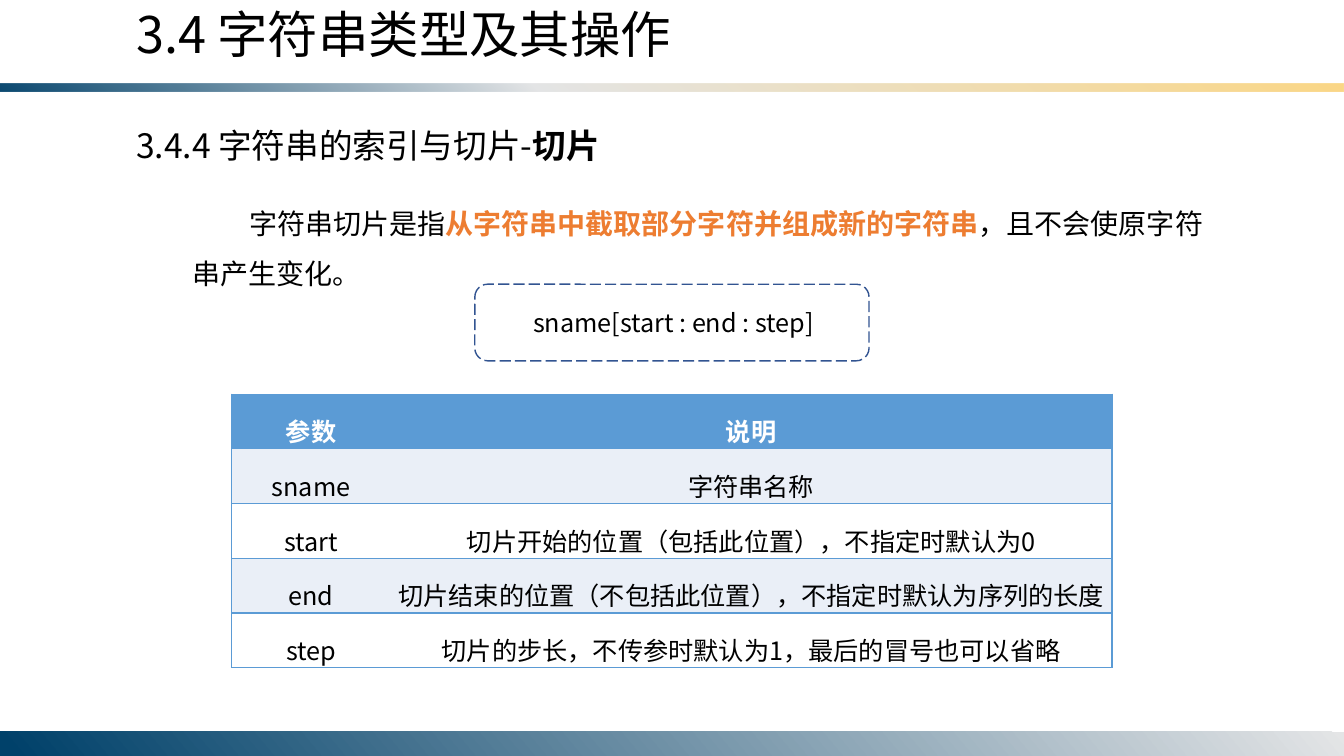
from dataclasses import dataclass

from lxml.etree import SubElement
from pptx import Presentation
from pptx.dml.color import RGBColor
from pptx.enum.dml import MSO_LINE
from pptx.enum.shapes import MSO_SHAPE
from pptx.enum.text import MSO_ANCHOR, MSO_AUTO_SIZE, PP_ALIGN
from pptx.oxml import parse_xml
from pptx.oxml.ns import nsdecls, qn
from pptx.util import Inches, Pt

SLIDE_W, SLIDE_H = Inches(13.33), Inches(7.5)


@dataclass(frozen=True)
class Theme:
    font: str = "Noto Sans CJK SC"
    text: str = "000000"
    accent: str = "ED7D31"
    navy: str = "00416A"
    silver: str = "E4E5E6"
    gold: str = "FBD786"
    frame: str = "325491"
    table: str = "5B9BD5"
    stripe: str = "EAEFF7"
    white: str = "FFFFFF"
    title_size: int = 36
    heading_size: int = 24
    body_size: int = 20
    small_size: int = 18


THEME = Theme()


@dataclass(frozen=True)
class Box:
    """A region in percent of the slide's width and height."""
    left: float
    top: float
    width: float
    height: float

    def emu(self):
        return (int(SLIDE_W * self.left / 100), int(SLIDE_H * self.top / 100),
                int(SLIDE_W * self.width / 100), int(SLIDE_H * self.height / 100))


def add_run(paragraph, text, size, color=THEME.text, bold=False):
    run = paragraph.add_run()
    run.text = text
    run.font.size = Pt(size)
    run.font.bold = bold
    run.font.color.rgb = RGBColor.from_string(color)
    run.font.name = THEME.font
    SubElement(run.font._element, qn("a:ea")).set("typeface", THEME.font)


def fill_placeholder(placeholder, box, parts, size, spacing, indent=0.0):
    """Move a placeholder and write (text, colour, bold) parts without a bullet."""
    placeholder.left, placeholder.top, placeholder.width, placeholder.height = box.emu()
    frame = placeholder.text_frame
    frame.word_wrap = True
    frame.auto_size = MSO_AUTO_SIZE.NONE
    frame.vertical_anchor = MSO_ANCHOR.TOP
    paragraph = frame.paragraphs[0]
    properties = paragraph._p.get_or_add_pPr()
    properties.set("marL", "0")
    properties.set("indent", str(Inches(indent)))
    SubElement(properties, qn("a:buNone"))
    paragraph.alignment = PP_ALIGN.LEFT
    paragraph.line_spacing = spacing
    paragraph.space_before = Pt(0)
    for text, color, bold in parts:
        add_run(paragraph, text, size, color, bold)


def add_band(slide, box, stops, angle, flipped=False):
    """Draw a strip with gradient stops of (percent, colour, opacity percent)."""
    band = slide.shapes.add_shape(MSO_SHAPE.RECTANGLE, *box.emu())
    band.shadow.inherit = False
    band.line.fill.background()
    colors = "".join(
        f'<a:gs pos="{place * 1000}"><a:srgbClr val="{color}">'
        f'<a:alpha val="{opacity * 1000}"/></a:srgbClr></a:gs>'
        for place, color, opacity in stops)
    gradient = parse_xml(
        f'<a:gradFill {nsdecls("a")} rotWithShape="1"><a:gsLst>{colors}</a:gsLst>'
        f'<a:lin ang="{angle * 60000}" scaled="0"/></a:gradFill>')
    properties = band._element.spPr
    properties.find(qn("a:prstGeom")).addnext(gradient)
    if flipped:
        properties.find(qn("a:xfrm")).set("flipV", "1")


def add_syntax(slide, box, syntax):
    frame = slide.shapes.add_shape(MSO_SHAPE.ROUNDED_RECTANGLE, *box.emu())
    frame.shadow.inherit = False
    frame.fill.background()
    frame.line.color.rgb = RGBColor.from_string(THEME.frame)
    frame.line.width = Pt(1)
    frame.line.dash_style = MSO_LINE.LONG_DASH
    text_frame = frame.text_frame
    text_frame.word_wrap = True
    text_frame.margin_left = Inches(0.54)
    text_frame.vertical_anchor = MSO_ANCHOR.MIDDLE
    paragraph = text_frame.paragraphs[0]
    paragraph.alignment = PP_ALIGN.LEFT
    add_run(paragraph, syntax, THEME.small_size)


def set_borders(cell, visible):
    """Line the visible sides of a cell and clear the others."""
    properties = cell._tc.get_or_add_tcPr()
    for position, side in enumerate("LRTB"):
        paint = (f'<a:solidFill><a:srgbClr val="{THEME.table}"/></a:solidFill>'
                 if side in visible else "<a:noFill/>")
        properties.insert(position, parse_xml(
            f'<a:ln{side} {nsdecls("a")} w="{Pt(1)}">{paint}</a:ln{side}>'))


def add_parameters(slide, box, rows, name_share):
    left, top, width, height = box.emu()
    table = slide.shapes.add_table(len(rows), 2, left, top, width, height).table
    table.columns[0].width = int(width * name_share)
    table.columns[1].width = width - table.columns[0].width
    for row, texts in enumerate(rows):
        header = row == 0
        fill = THEME.table if header else THEME.stripe if row % 2 else THEME.white
        for column, text in enumerate(texts):
            cell = table.cell(row, column)
            cell.margin_left = cell.margin_right = Inches(0.07)
            cell.margin_top = cell.margin_bottom = 0
            cell.fill.solid()
            cell.fill.fore_color.rgb = RGBColor.from_string(fill)
            set_borders(cell, "LTB" if column == 0 else "RTB")
            paragraph = cell.text_frame.paragraphs[0]
            paragraph.alignment = PP_ALIGN.CENTER
            paragraph.line_spacing = 1.5
            add_run(paragraph, text, THEME.small_size,
                    THEME.white if header else THEME.text, header)


def build_slicing_slide(presentation):
    slide = presentation.slides.add_slide(presentation.slide_layouts[3])
    title, heading, definition = slide.placeholders
    add_band(slide, Box(0, 11.07, 100, 1.07),
             [(0, THEME.navy, 95), (40, THEME.silver, 100), (100, THEME.gold, 100)],
             50, flipped=True)
    add_band(slide, Box(0, 96.8, 100, 3.2),
             [(0, THEME.silver, 100), (99, THEME.navy, 100)], 140)
    fill_placeholder(title, Box(9.38, 0.67, 45.91, 17.47),
                     [("3.4 字符串类型及其操作", THEME.text, False)],
                     THEME.title_size, 0.9)
    fill_placeholder(heading, Box(9.38, 16.4, 47.86, 6.67),
                     [("3.4.4 字符串的索引与切片-", THEME.text, False),
                      ("切片", THEME.text, True)],
                     THEME.heading_size, 0.9)
    fill_placeholder(definition, Box(13.58, 24.4, 77.49, 14.8),
                     [("字符串切片是指", THEME.text, False),
                      ("从字符串中截取部分字符并组成新的字符串", THEME.accent, True),
                      ("，且不会使原字符串产生变化。", THEME.text, False)],
                     THEME.body_size, 1.5, indent=0.56)
    add_syntax(slide, Box(35.33, 37.6, 29.33, 10.13), "sname[start : end : step]")
    add_parameters(slide, Box(17.25, 52.13, 65.49, 36.13), [
        ("参数", "说明"),
        ("sname", "字符串名称"),
        ("start", "切片开始的位置（包括此位置），不指定时默认为0"),
        ("end", "切片结束的位置（不包括此位置），不指定时默认为序列的长度"),
        ("step", "切片的步长，不传参时默认为1，最后的冒号也可以省略"),
    ], name_share=0.18)


def main():
    presentation = Presentation()
    presentation.slide_width, presentation.slide_height = SLIDE_W, SLIDE_H
    build_slicing_slide(presentation)
    presentation.save("out.pptx")


if __name__ == "__main__":
    main()
